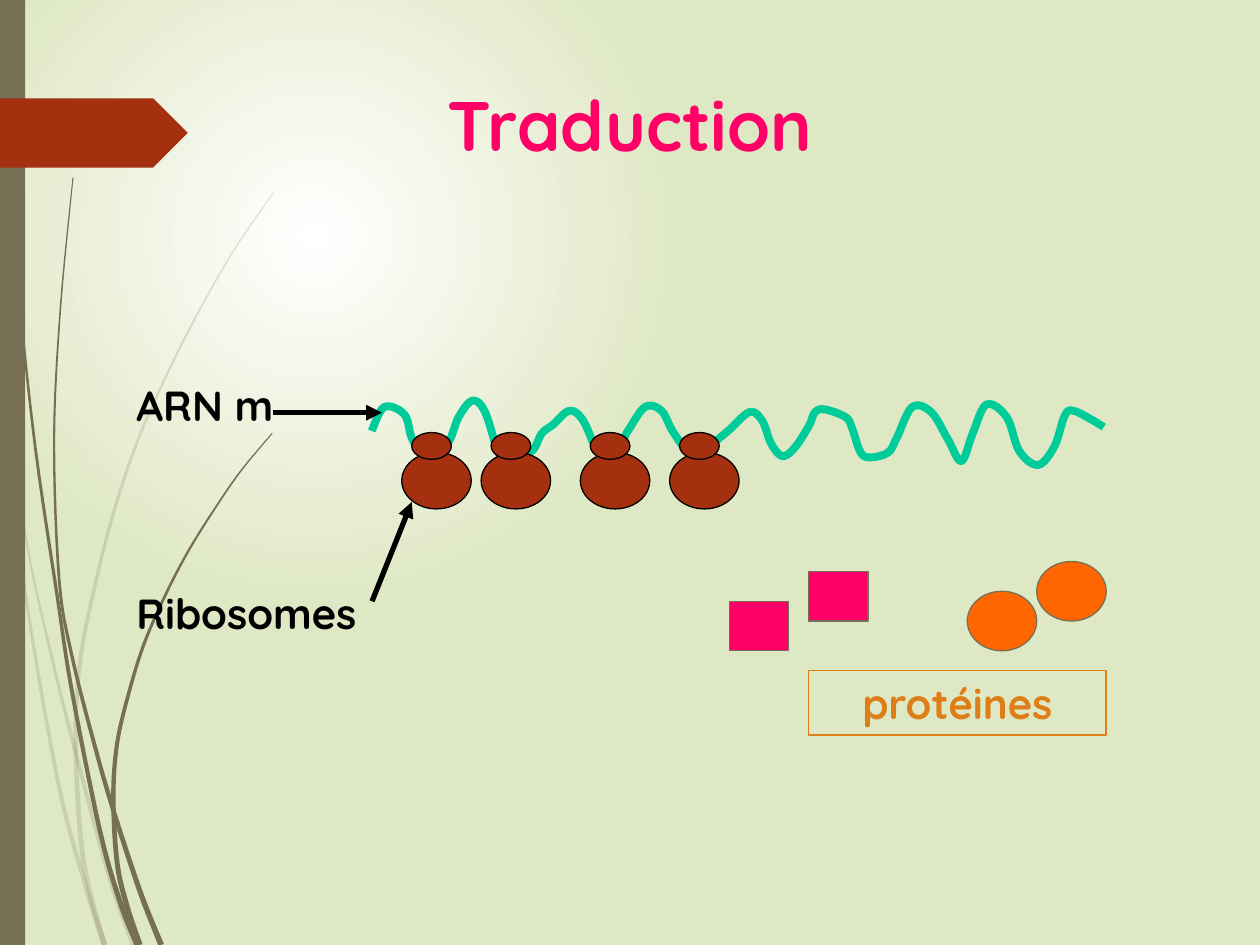
from math import hypot

from lxml.etree import SubElement
from pptx import Presentation
from pptx.dml.color import RGBColor
from pptx.enum.shapes import MSO_CONNECTOR, MSO_SHAPE
from pptx.enum.text import MSO_ANCHOR, PP_ALIGN
from pptx.oxml.ns import qn
from pptx.util import Inches, Pt

CELL = 10 / 127
FONT = "Quicksand"
OLIVE, RUST, PINK, ORANGE = "766F54", "A53010", "FF0066", "FF6600"
AMBER, GREEN, BLACK = "DE7E18", "00CC99", "000000"

PALE_STRANDS = [
    [(0, 2.9), (0.1, 3.65), (0.2, 4.69), (0.46, 6.2), (0.68, 7.03), (0.83, 7.5)],
    [(0.1, 3.5), (0.23, 4.4), (0.41, 5.21), (0.6, 5.97), (0.86, 6.93), (1.06, 7.5)],
    [(2.17, 1.53), (1.86, 1.98), (1.59, 2.45), (1.34, 2.94), (1.1, 3.48),
     (0.91, 4.04), (0.76, 4.62), (0.64, 5.22), (0.6, 5.84), (0.64, 6.65),
     (0.72, 7.11), (0.83, 7.5)],
]
DARK_STRANDS = [
    [(0.03, 0), (0.05, 1.1), (0.15, 2.33), (0.28, 3.55), (0.46, 4.77),
     (0.57, 5.48), (0.79, 6.58), (0.95, 7.15), (1.09, 7.5)],
    [(0.58, 1.41), (0.48, 2.45), (0.43, 3.49), (0.47, 4.6), (0.57, 5.2),
     (0.75, 5.91), (0.9, 6.43), (1.11, 7.07), (1.28, 7.5)],
    [(2.16, 3.44), (1.91, 3.74), (1.69, 4.06), (1.48, 4.4), (1.3, 4.75),
     (1.14, 5.12), (1.02, 5.51), (0.93, 5.9), (0.9, 6.32), (0.93, 6.85),
     (1.01, 7.2), (1.11, 7.5)],
]
MESSENGER_RNA = [
    (2.95, 3.42), (3.05, 3.23), (3.21, 3.29), (3.27, 3.48), (3.37, 3.61),
    (3.55, 3.52), (3.64, 3.31), (3.75, 3.18), (3.85, 3.27), (3.96, 3.6),
    (4.05, 3.63), (4.22, 3.58), (4.3, 3.44), (4.39, 3.37), (4.52, 3.26),
    (4.63, 3.34), (4.77, 3.62), (4.92, 3.52), (4.99, 3.41), (5.12, 3.23),
    (5.25, 3.26), (5.35, 3.44), (5.52, 3.64), (5.67, 3.51), (5.79, 3.41),
    (5.95, 3.27), (6.05, 3.34), (6.12, 3.52), (6.21, 3.62), (6.31, 3.55),
    (6.42, 3.38), (6.47, 3.27), (6.55, 3.25), (6.71, 3.31), (6.76, 3.39),
    (6.83, 3.59), (6.91, 3.63), (7.05, 3.59), (7.12, 3.47), (7.24, 3.23),
    (7.39, 3.27), (7.52, 3.48), (7.63, 3.66), (7.72, 3.44), (7.83, 3.21),
    (7.99, 3.31), (8.09, 3.58), (8.24, 3.69), (8.37, 3.54), (8.45, 3.3),
    (8.52, 3.26), (8.68, 3.34), (8.76, 3.39),
]


def color(value):
    return RGBColor.from_string(value)


def grid(column, row):
    return Inches((column + 0.5) * CELL), Inches((row + 0.5) * CELL)


def smooth(points, steps=6):
    padded = [points[0], *points, points[-1]]
    curve = []
    for a, b, c, d in zip(padded, padded[1:], padded[2:], padded[3:]):
        for step in range(steps):
            t = step / steps
            curve.append(tuple(
                q + t / 2 * (r - p + t * (2 * p - 5 * q + 4 * r - s + t * (3 * q - p - 3 * r + s)))
                for p, q, r, s in zip(a, b, c, d)))
    return curve + [points[-1]]


def ribbon(points, thin=0.008, thick=0.046):
    curve = smooth(points)
    left, right = [], []
    for index, (x, y) in enumerate(curve):
        before, after = curve[max(index - 1, 0)], curve[min(index + 1, len(curve) - 1)]
        dx, dy = after[0] - before[0], after[1] - before[1]
        half = (thin + (thick - thin) * index / len(curve)) / 2 / hypot(dx, dy)
        left.append((x - dy * half, y + dx * half))
        right.append((x + dy * half, y - dx * half))
    return left + right[::-1]


def paint(shape, fill=None, line=None, width=0.75):
    shape.shadow.inherit = False
    for part, value in ((shape.fill, fill), (shape.line.fill, line)):
        if value:
            part.solid()
            part.fore_color.rgb = color(value)
        else:
            part.background()
    if line:
        shape.line.width = Pt(width)


def add_outline(slide, points, close, **style):
    spots = [(Inches(x), Inches(y)) for x, y in points]
    builder = slide.shapes.build_freeform(*spots[0])
    builder.add_line_segments(spots[1:], close=close)
    shape = builder.convert_to_shape()
    paint(shape, **style)
    return shape


def add_strand(slide, points, opacity):
    strand = add_outline(slide, ribbon(points), True, fill=OLIVE)
    tint = strand.element.spPr.find(qn("a:solidFill")).find(qn("a:srgbClr"))
    SubElement(tint, qn("a:alpha"), val=str(opacity * 1000))


def add_figure(slide, kind, column, row, columns, rows, **style):
    shape = slide.shapes.add_shape(
        kind, *grid(column, row), Inches(columns * CELL), Inches(rows * CELL))
    paint(shape, **style)
    return shape


def write(frame, text, size, value, align=PP_ALIGN.LEFT, anchor=MSO_ANCHOR.TOP):
    frame.word_wrap = True
    frame.vertical_anchor = anchor
    para = frame.paragraphs[0]
    para.alignment = align
    span = para.add_run()
    span.text = text
    for name, setting in {"name": FONT, "size": Pt(size), "bold": True}.items():
        setattr(span.font, name, setting)
    span.font.color.rgb = color(value)


def add_label(slide, text, column, row, columns):
    box = slide.shapes.add_textbox(*grid(column, row), Inches(columns * CELL), Inches(0.5))
    write(box.text_frame, text, 24, BLACK)


def add_arrow(slide, start, end):
    arrow = slide.shapes.add_connector(MSO_CONNECTOR.STRAIGHT, *grid(*start), *grid(*end))
    arrow.line.width = Pt(3)
    arrow.line.color.rgb = color(BLACK)
    properties = arrow.element.spPr
    SubElement(properties.find(qn("a:ln")), qn("a:tailEnd"), type="triangle")
    SubElement(properties, qn("a:effectLst"))


def set_background(slide):
    fill = slide.background.fill
    fill.gradient()
    for stop, position, value in zip(fill.gradient_stops, (0, 0.48), ("FFFFFF", "DFE8C4")):
        stop.position = position
        stop.color.rgb = color(value)
    gradient = slide.element.find(".//" + qn("a:gradFill"))
    gradient.remove(gradient.find(qn("a:lin")))
    circle = SubElement(gradient, qn("a:path"), path="circle")
    SubElement(circle, qn("a:fillToRect"), l="50000", t="50000", r="100000", b="100000")


def add_title(slide, text):
    title = slide.shapes.title
    frame = {"left": 0.5, "top": 0.6, "width": 9, "height": 6.1}
    for name, length in frame.items():
        setattr(title, name, Inches(length))
    write(title.text_frame, text, 40, PINK, PP_ALIGN.CENTER)


def add_decoration(slide, deck):
    for strands, opacity in ((PALE_STRANDS, 20), (DARK_STRANDS, 100)):
        for points in strands:
            add_strand(slide, points, opacity)
    bar = slide.shapes.add_shape(
        MSO_SHAPE.RECTANGLE, 0, 0, int(deck.slide_width * 0.02), deck.slide_height)
    paint(bar, fill=OLIVE)
    pointer = slide.shapes.add_shape(
        MSO_SHAPE.PENTAGON, 0, Inches(0.78), Inches(1.49), Inches(0.55))
    paint(pointer, fill=RUST)


def main():
    deck = Presentation()
    deck.slide_width, deck.slide_height = Inches(10), Inches(7.5)
    slide = deck.slides.add_slide(deck.slide_layouts[5])
    set_background(slide)
    add_decoration(slide, deck)
    add_title(slide, "Traduction")
    add_outline(slide, smooth(MESSENGER_RNA), False, line=GREEN, width=4.5)
    for column in (40, 48, 58, 67):
        add_figure(slide, MSO_SHAPE.OVAL, column, 45.1, 7, 5.7, fill=RUST, line=BLACK)
        add_figure(slide, MSO_SHAPE.OVAL, column + 1, 43.1, 4, 2.7, fill=RUST, line=BLACK)
    for square, disc, row in ((81, 104, 57.1), (73, 97, 60.1)):
        add_figure(slide, MSO_SHAPE.RECTANGLE, square, row, 6, 5, fill=PINK, line=OLIVE)
        add_figure(slide, MSO_SHAPE.OVAL, disc, row - 1, 7, 6, fill=ORANGE, line=OLIVE)
    add_arrow(slide, (27, 41.1), (38, 41.1))
    add_label(slide, "ARN m", 12, 37.1, 18)
    add_arrow(slide, (37, 60.1), (41, 50.1))
    add_label(slide, "Ribosomes", 12, 58.1, 25.5)
    proteins = add_figure(slide, MSO_SHAPE.RECTANGLE, 81, 67.1, 30, 6.5, line=AMBER)
    write(proteins.text_frame, "protéines", 24, AMBER, PP_ALIGN.CENTER, MSO_ANCHOR.MIDDLE)
    deck.save("out.pptx")


if __name__ == "__main__":
    main()
